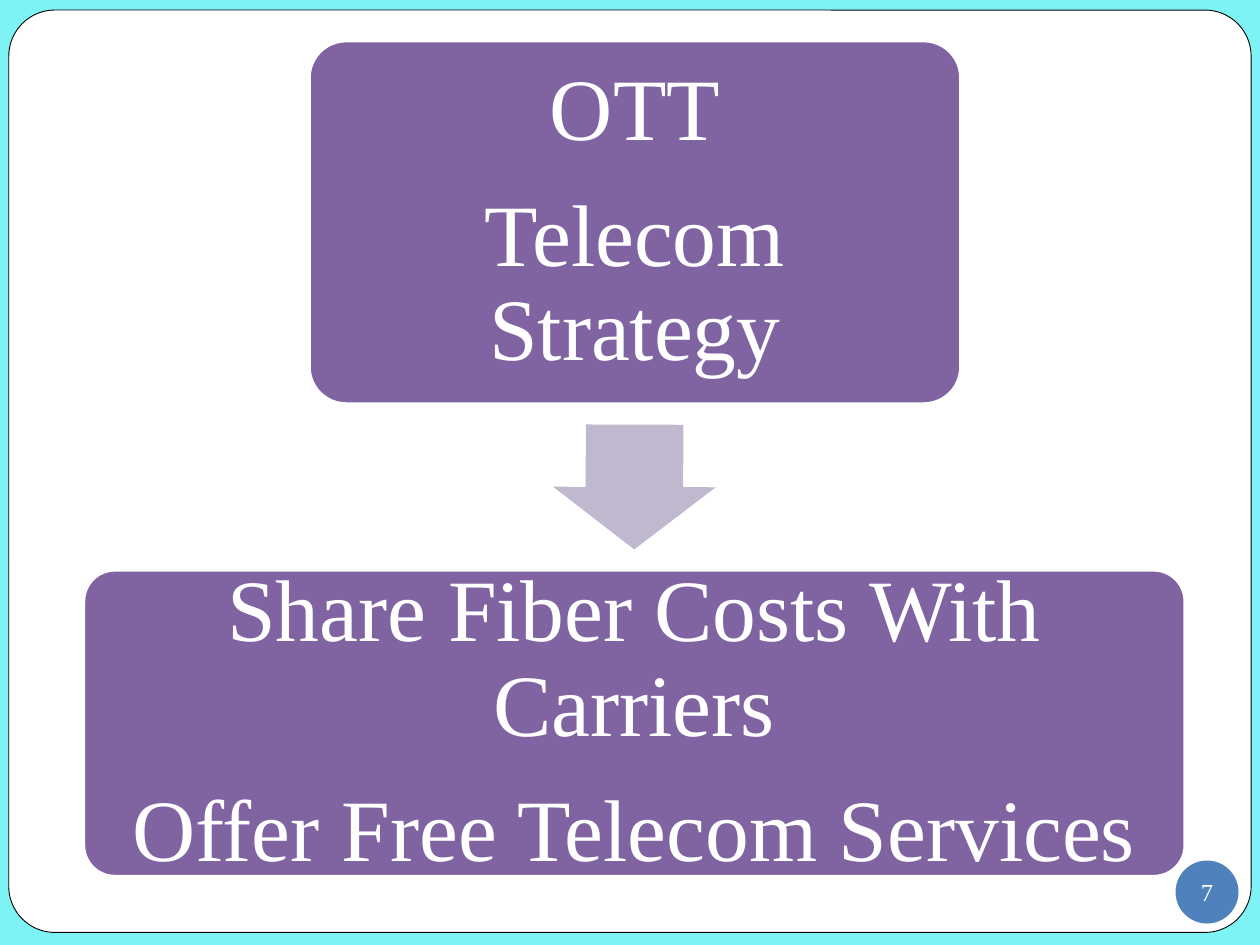
import pptx
import pptx.util
import pptx.dml.color
import pptx.enum.shapes
import pptx.enum.text

KIND = pptx.enum.shapes.MSO_SHAPE
FONT = "Times New Roman"
WIDE, HIGH = pptx.util.Inches(10), pptx.util.Inches(7.5)
COLS, ROWS = 100, 75
WHITE, PURPLE = "FFFFFF", "8064A2"
ROUND = 0.1
MID = 50.35  # shared centre column of the arrow and upper box


def color(code):
    return pptx.dml.color.RGBColor.from_string(code)


def place(col, row, cols, rows):
    """Turn grid cells into slide lengths."""
    return (int(WIDE * col / COLS), int(HIGH * row / ROWS),
            int(WIDE * cols / COLS), int(HIGH * rows / ROWS))


def shape(host, kind, area, fill, line=None, width=1, adjust=()):
    item = host.add_shape(kind, *place(*area))
    item.shadow.inherit = False
    item.fill.solid()
    item.fill.fore_color.rgb = color(fill)
    if line:
        item.line.color.rgb = color(line)
        item.line.width = pptx.util.Pt(width)
    else:
        item.line.fill.background()
    for index, value in enumerate(adjust):
        item.adjustments[index] = value
    return item


def write(item, lines, size, inset=0, wrap=True, pitch=None, after=0):
    frame = item.text_frame
    frame.word_wrap = wrap
    frame.vertical_anchor = pptx.enum.text.MSO_ANCHOR.MIDDLE
    frame.margin_left = frame.margin_right = pptx.util.Inches(inset)
    frame.margin_top = frame.margin_bottom = pptx.util.Inches(inset)
    for index, line in enumerate(lines):
        para = frame.add_paragraph() if index else frame.paragraphs[0]
        para.alignment = pptx.enum.text.PP_ALIGN.CENTER
        para.line_spacing = pitch
        para.space_after = pptx.util.Pt(after)
        run = para.add_run()
        run.text = line
        run.font.name = FONT
        run.font.size = pptx.util.Pt(size)
        run.font.color.rgb = color(WHITE)


def step(host, area, lines):
    """Rounded box with its text kept clear of the corner curves."""
    shape(host, KIND.ROUNDED_RECTANGLE, area, PURPLE, WHITE, 1, [ROUND])
    col, row, cols, rows = area
    pad = 0.29 * ROUND * rows
    inner = (col + pad, row + pad, cols - 2 * pad, rows - 2 * pad)
    label = host.add_textbox(*place(*inner))
    write(label, lines, 50, inset=0.21, pitch=0.9, after=17.5)


def main():
    deck = pptx.Presentation()
    deck.slide_width, deck.slide_height = WIDE, HIGH
    page = deck.slides.add_slide(deck.slide_layouts[6]).shapes

    # Frame and page number
    shape(page, KIND.RECTANGLE, (0, 0, COLS, ROWS), "7EF3F6")
    shape(page, KIND.ROUNDED_RECTANGLE, (0.7, 0.8, 98.6, 73.2),
          WHITE, "000000", 0.5, [0.05])
    badge = shape(page, KIND.OVAL, (93.3, 68.3, 5, 5), "4F81BD")
    write(badge, ["7"], 14, wrap=False)

    # Flow from strategy to offer
    flow = page.add_group_shape().shapes
    step(flow, (24.6, 3.3, 51.6, 28.7), ["OTT", "Telecom Strategy"])
    arrow = shape(flow, KIND.RIGHT_ARROW, (MID - 4.95, 32.2, 9.9, 12.9),
                  "C0B8CE", adjust=[0.6, 0.5])
    arrow.rotation = 90.2
    step(flow, (6.7, 45.3, 87.3, 24.2),
         ["Share Fiber Costs With Carriers", "Offer Free Telecom Services"])

    deck.save("out.pptx")


if __name__ == "__main__":
    main()
